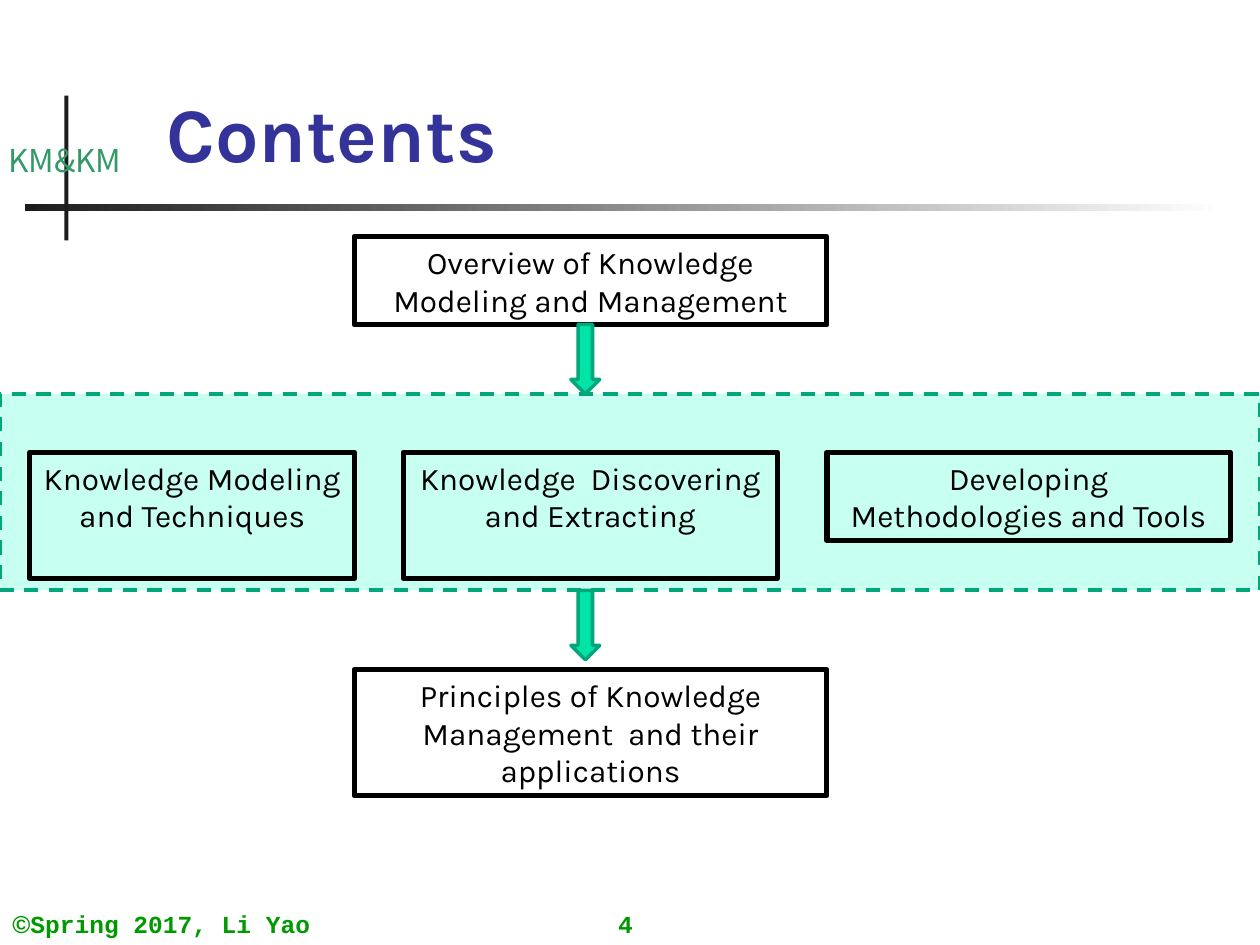
from pptx import Presentation, util as u
from pptx.dml import color
from pptx.enum import dml, shapes, text

COLORS = {
    "ink": "1C1C1C", "white": "FFFFFF", "black": "000000", "title": "333399",
    "label": "339966", "footer": "009900", "band": "C7FFF0",
    "arrow": "00E4A8", "edge": "00A77A",
}
FORMATS = {
    "title": {"name": "Karla", "size": u.Pt(44), "bold": True},
    "box": {"name": "Karla", "size": u.Pt(18), "bold": False},
    "label": {"name": "Noto Sans CJK SC", "size": u.Pt(18), "bold": False},
    "footer": {"name": "Courier New", "size": u.Pt(14), "bold": True},
    "symbol": {"name": "Arial", "size": u.Pt(14), "bold": True},
}
STAGES = [
    ("Knowledge Modeling and Techniques", 0.6, 6.55, 2.54),
    ("Knowledge  Discovering and Extracting", 8.13, 7.54, 2.54),
    ("Developing Methodologies and Tools", 16.67, 8.13, 1.78),
]
BAND_TOP, BAND_HEIGHT = 7.94, 3.96
STAGE_TOP = 9.12
OUTER_LEFT, OUTER_WIDTH = 7.14, 9.53
ARROW_HEIGHT = 1.4


def rgb(name):
    return color.RGBColor.from_string(COLORS[name])


def lengths(*values):
    return [u.Cm(value) for value in values]


def write(paragraph, words, style, color_name, alignment=text.PP_ALIGN.LEFT):
    paragraph.alignment = alignment
    run = paragraph.add_run()
    run.text = words
    for attribute, value in FORMATS[style].items():
        setattr(run.font, attribute, value)
    run.font.color.rgb = rgb(color_name)


def add_block(slide, place, fill=None, line=None, width=2,
              kind=shapes.MSO_SHAPE.RECTANGLE):
    shape = slide.shapes.add_shape(kind, *lengths(*place))
    shape.shadow.inherit = False
    if fill:
        shape.fill.solid()
        shape.fill.fore_color.rgb = rgb(fill)
    else:
        shape.fill.background()
    if line:
        shape.line.color.rgb = rgb(line)
        shape.line.width = u.Pt(width)
    else:
        shape.line.fill.background()
    return shape


def add_topic(slide, words, *place):
    shape = add_block(slide, place, line="black", width=3)
    frame = shape.text_frame
    frame.word_wrap = True
    frame.vertical_anchor = text.MSO_ANCHOR.TOP
    write(frame.paragraphs[0], words, "box", "black", text.PP_ALIGN.CENTER)


def add_arrow(slide, top):
    add_block(slide, (11.51, top, 0.58, ARROW_HEIGHT), "arrow", "edge",
              kind=shapes.MSO_SHAPE.DOWN_ARROW)


def add_text(slide, place):
    frame = slide.shapes.add_textbox(*lengths(*place)).text_frame
    frame.word_wrap = True
    frame.vertical_anchor = text.MSO_ANCHOR.BOTTOM
    return frame


def add_label(slide, words):
    frame = add_text(slide, (0.06, 2.72, 2.5, 1.4))
    frame.word_wrap = False
    frame.vertical_anchor = text.MSO_ANCHOR.TOP
    frame.margin_left = frame.margin_right = 0
    write(frame.paragraphs[0], words, "label", "label", text.PP_ALIGN.CENTER)


def add_header_rules(slide):
    rule = add_block(slide, (0.51, 4.11, 24.16, 0.15), "ink")
    rule.fill.gradient()
    rule.fill.gradient_angle = 0
    for stop, name in zip(rule.fill.gradient_stops, ("ink", "white")):
        stop.color.rgb = rgb(name)
    add_block(slide, (1.3, 1.93, 0.08, 2.92), "ink")


def set_title(slide, words):
    title = slide.shapes.title
    title.left, title.top, title.width, title.height = lengths(3.1, 0.6, 20.6, 3.12)
    frame = title.text_frame
    frame.auto_size = text.MSO_AUTO_SIZE.NONE
    frame.vertical_anchor = text.MSO_ANCHOR.BOTTOM
    write(frame.paragraphs[0], words, "title", "title")


def add_footer(slide):
    number = add_text(slide, (11.71, 17.86, 1.8, 1.19)).paragraphs[0]
    write(number, "4", "footer", "footer", text.PP_ALIGN.CENTER)
    credit = add_text(slide, (0, 17.78, 8.05, 1.27)).paragraphs[0]
    write(credit, "©", "symbol", "footer")
    write(credit, "Spring 2017, Li Yao", "footer", "footer")


def main():
    presentation = Presentation()
    presentation.slide_width, presentation.slide_height = lengths(25.4, 19.05)
    slide = presentation.slides.add_slide(presentation.slide_layouts[5])

    add_header_rules(slide)
    add_label(slide, "KM&KM")
    band = add_block(slide, (0, BAND_TOP, 25.4, BAND_HEIGHT), "band", "edge")
    band.line.dash_style = dml.MSO_LINE.DASH
    set_title(slide, "Contents")
    add_footer(slide)

    add_topic(slide, "Overview of Knowledge Modeling and Management",
              OUTER_LEFT, 4.77, OUTER_WIDTH, 1.78)
    for words, left, width, height in STAGES:
        add_topic(slide, words, left, STAGE_TOP, width, height)
    add_topic(slide, "Principles of Knowledge Management  and their applications",
              OUTER_LEFT, 13.5, OUTER_WIDTH, 2.54)
    for top in (BAND_TOP - ARROW_HEIGHT, BAND_TOP + BAND_HEIGHT):
        add_arrow(slide, top)

    presentation.save("out.pptx")


if __name__ == "__main__":
    main()
